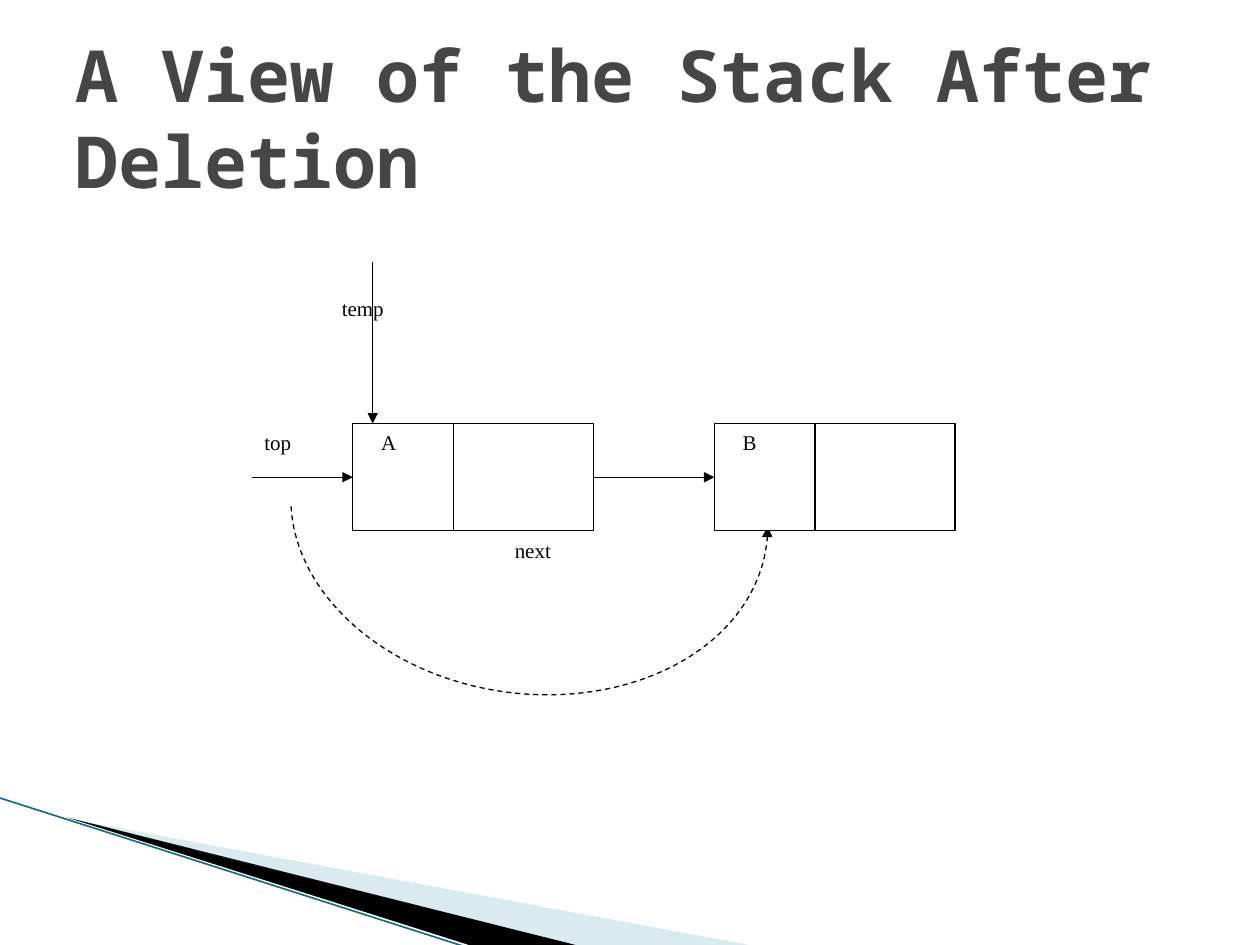
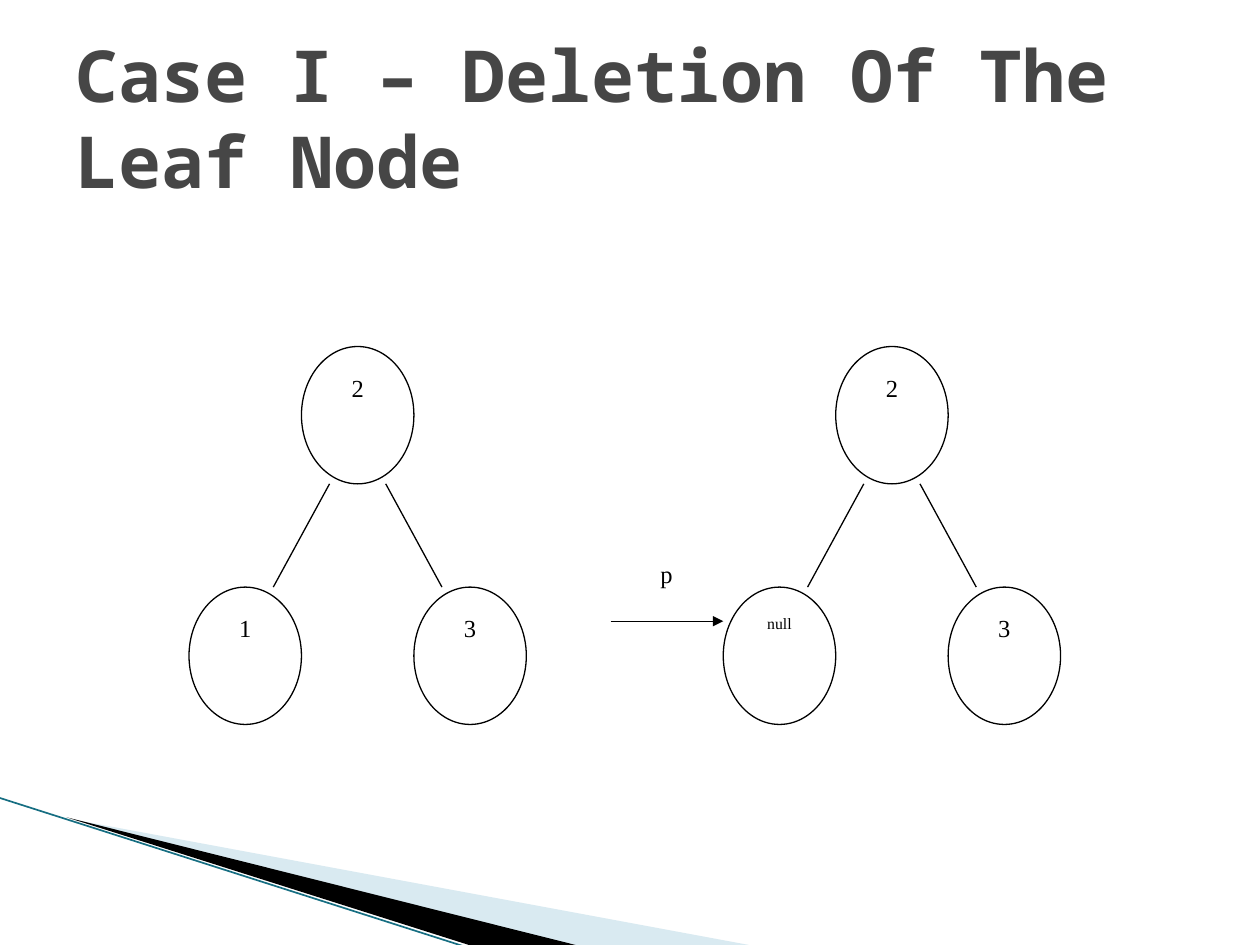
from pptx import Presentation
from pptx.dml.color import RGBColor
from pptx.enum.dml import MSO_LINE as Dash
from pptx.enum.shapes import MSO_CONNECTOR as Connector, MSO_SHAPE as Preset
from pptx.enum.text import MSO_ANCHOR as Anchor, PP_ALIGN as Align
from pptx.oxml.ns import qn
from pptx.util import Pt
from lxml.etree import SubElement

BLACK = RGBColor(0x00, 0x00, 0x00)
WHITE = RGBColor(0xFF, 0xFF, 0xFF)
TITLE_GREY = RGBColor(0x46, 0x46, 0x46)
PALE_BLUE = RGBColor(0xA0, 0xCB, 0xDC)
TEAL = RGBColor(0x16, 0x6E, 0x82)
TITLE_FONT = "Noto Sans Mono"
LABEL_FONT = "Times New Roman"
THIN = 0.75

CELL_TOP, CELL_WIDTH, CELL_HEIGHT = 242, 137.5, 61.4
DIVIDER = 57.5
NODE_WIDTH, NODE_HEIGHT = 64.25, 78.5
ROOT_TOP, LEAF_TOP = 198, 335.5


def write(shape, text, size, font, color, align, anchor, bold=False):
    """Put one styled paragraph into a shape."""
    frame = shape.text_frame
    frame.word_wrap = True
    frame.vertical_anchor = anchor
    paragraph = frame.paragraphs[0]
    paragraph.text = text
    paragraph.alignment = align
    paragraph.font.size = Pt(size)
    paragraph.font.name = font
    paragraph.font.bold = bold
    paragraph.font.color.rgb = color


def add_arrowhead(shape, end):
    """Put a triangle on the headEnd or tailEnd of a line."""
    SubElement(shape.line._get_or_add_ln(), qn(f"a:{end}"), type="triangle")


def add_line(slide, start, end, color=BLACK, width=THIN, arrow=False):
    """Draw a straight line between two points."""
    line = slide.shapes.add_connector(
        Connector.STRAIGHT, *(Pt(value) for value in (*start, *end)))
    line.line.color.rgb = color
    line.line.width = Pt(width)
    if arrow:
        add_arrowhead(line, "tailEnd")
    SubElement(line._element.spPr, qn("a:effectLst"))


def add_band(slide, corners, color, alpha=None):
    """Draw a filled polygon, optionally translucent."""
    builder = slide.shapes.build_freeform(*corners[0], scale=Pt(1))
    builder.add_line_segments(corners[1:], close=True)
    band = builder.convert_to_shape()
    band.shadow.inherit = False
    band.fill.solid()
    band.fill.fore_color.rgb = color
    band.line.fill.background()
    if alpha:
        srgb = band._element.spPr.find(f".//{qn('a:srgbClr')}")
        SubElement(srgb, qn("a:alpha"), val=str(alpha * 1000))


def add_figure(slide, preset, box, text, size=12, align=Align.CENTER,
               outlined=False, inset=7.2):
    """Draw a white shape with its label at the top."""
    figure = slide.shapes.add_shape(preset, *(Pt(value) for value in box))
    figure.shadow.inherit = False
    figure.fill.solid()
    figure.fill.fore_color.rgb = WHITE
    if outlined:
        figure.line.color.rgb = BLACK
        figure.line.width = Pt(THIN)
    else:
        figure.line.fill.background()
    figure.text_frame.margin_left = Pt(inset)
    write(figure, text, size, LABEL_FONT, BLACK, align, Anchor.TOP)


def add_new_top_arc(slide):
    """Draw the dashed arc from the old top to the next cell."""
    arc = slide.shapes.add_shape(
        Preset.ARC, Pt(165.6), Pt(189.8), Pt(273.6), Pt(206.5))
    arc.shadow.inherit = False
    arc.rotation = 187.9
    arc.adjustments[0] = 175.4 * 0.6
    arc.adjustments[1] = 0
    arc.fill.background()
    arc.line.color.rgb = BLACK
    arc.line.width = Pt(THIN)
    arc.line.dash_style = Dash.DASH
    add_arrowhead(arc, "headEnd")


def add_tree(slide, left, labels):
    """Draw a root with two leaves; labels are (text, size) pairs."""
    root_left, right_left = left + NODE_WIDTH, left + 2 * NODE_WIDTH
    places = ((root_left, ROOT_TOP), (left, LEAF_TOP), (right_left, LEAF_TOP))
    for place, (text, size) in zip(places, labels):
        add_figure(slide, Preset.OVAL, (*place, NODE_WIDTH, NODE_HEIGHT),
                   text, size, outlined=True)
    root_center = root_left + NODE_WIDTH / 2
    for side in (-1, 1):
        add_line(slide,
                 (root_center + side * NODE_WIDTH / 4, ROOT_TOP + NODE_HEIGHT),
                 (root_center + side * NODE_WIDTH * 3 / 4, LEAF_TOP))


def add_page(deck, title):
    """Add a blank slide with the corner bands and a title."""
    slide = deck.slides.add_slide(deck.slide_layouts[6])
    add_band(slide, ((39.6, 468.4), (428.4, 540.5), (328.3, 540.5)),
             PALE_BLUE, alpha=40)
    add_band(slide, ((38.2, 467.4), (329, 540.5), (267.8, 540.5)), BLACK)
    add_line(slide, (-0.7, 455.8), (267.1, 541.4), TEAL, 0.95)
    heading = slide.shapes.add_textbox(Pt(36), Pt(21.6), Pt(648), Pt(90))
    write(heading, title, 41, TITLE_FONT, TITLE_GREY, Align.LEFT,
          Anchor.MIDDLE, bold=True)
    return slide


def build_stack(deck):
    """Show the stack once its top cell is removed."""
    slide = add_page(deck, "A View of the Stack After Deletion")
    first, second = 201.6, 408.2
    middle, bottom = CELL_TOP + CELL_HEIGHT / 2, CELL_TOP + CELL_HEIGHT
    add_new_top_arc(slide)
    add_figure(slide, Preset.RECTANGLE, (270, bottom, 69, 30.7), "next")
    add_figure(slide, Preset.RECTANGLE, (144, CELL_TOP, 46, 46), "top",
               align=Align.LEFT)
    add_figure(slide, Preset.RECTANGLE, (178.6, 165.4, 57.4, 46), "temp")
    for left, name in ((first, "A"), (second, "B")):
        add_figure(slide, Preset.RECTANGLE,
                   (left, CELL_TOP, CELL_WIDTH, CELL_HEIGHT), name,
                   align=Align.LEFT, outlined=True, inset=16.2)
        add_line(slide, (left + DIVIDER, CELL_TOP), (left + DIVIDER, bottom))
    add_line(slide, (213, 150), (213, CELL_TOP), arrow=True)
    add_line(slide, (144, middle), (first, middle), arrow=True)
    add_line(slide, (first + CELL_WIDTH, middle), (second, middle), arrow=True)


def build_leaf_deletion(deck):
    """Show a tree before and after its left leaf is deleted."""
    slide = add_page(deck, "Case I – Deletion Of The Leaf Node")
    after = 413.3
    add_figure(slide, Preset.RECTANGLE, (332.6, 316, 96.5, 59), "p", 14)
    add_tree(slide, 108, (("2", 14), ("1", 14), ("3", 14)))
    add_tree(slide, after, (("2", 14), ("null", 9), ("3", 14)))
    add_line(slide, (349, 355), (after, 355), arrow=True)


def main():
    """Build and save the deck."""
    deck = Presentation()
    deck.slide_width, deck.slide_height = Pt(720), Pt(540)
    build_stack(deck)
    build_leaf_deletion(deck)
    deck.save("out.pptx")


if __name__ == "__main__":
    main()
